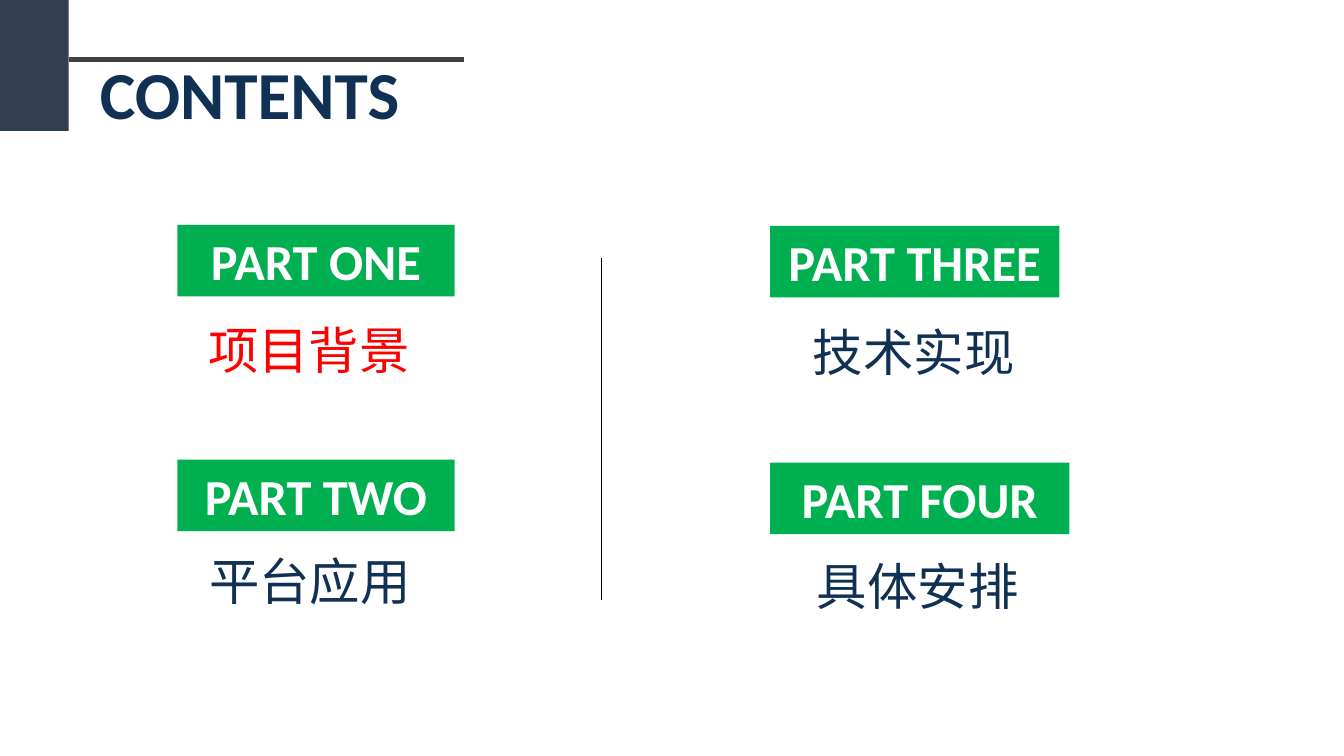
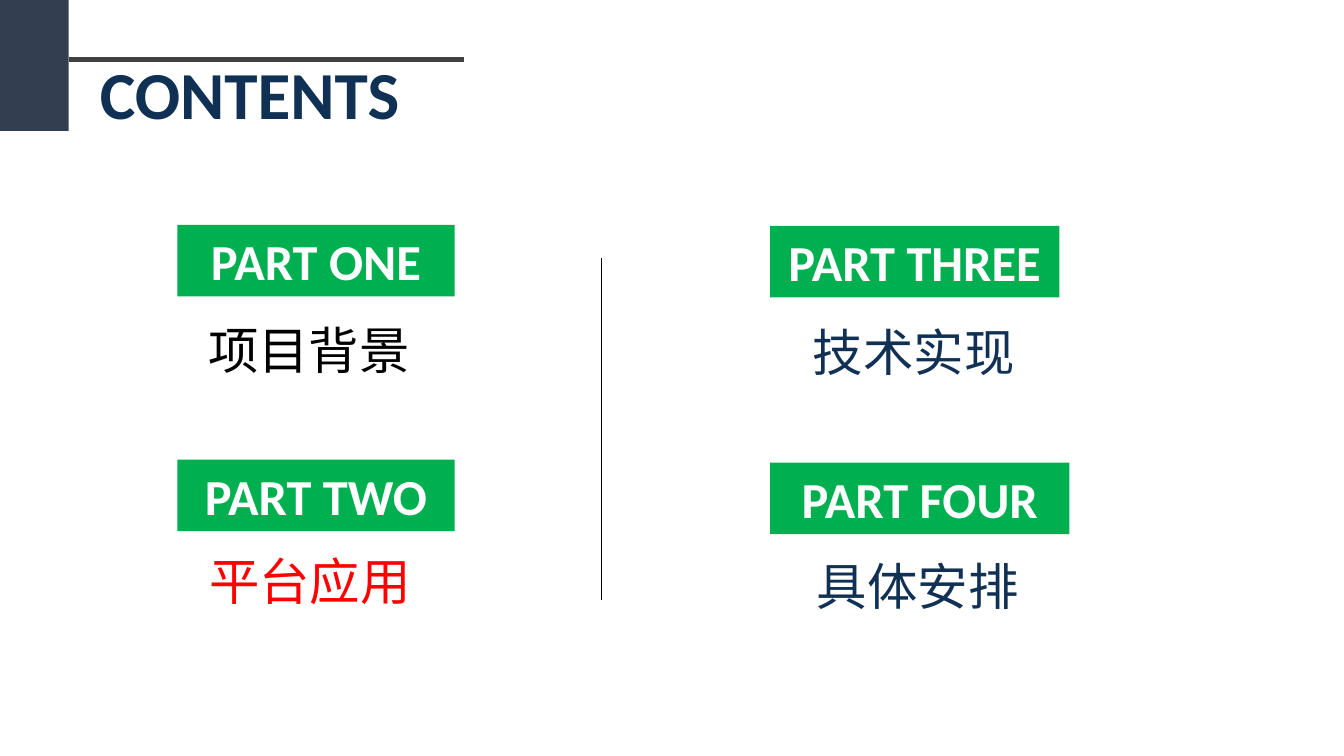
from dataclasses import dataclass

from lxml.etree import SubElement
from pptx import Presentation
from pptx.dml.color import RGBColor
from pptx.enum.shapes import MSO_CONNECTOR, MSO_SHAPE
from pptx.enum.text import MSO_ANCHOR, MSO_AUTO_SIZE, PP_ALIGN
from pptx.oxml.ns import qn
from pptx.util import Pt


@dataclass(frozen=True)
class Theme:
    navy: str = "103154"
    green: str = "00B050"
    slate: str = "333F50"
    grey: str = "404040"
    red: str = "FF0000"
    black: str = "000000"
    white: str = "FFFFFF"
    latin: str = "Calibri"
    chinese: str = "Noto Sans CJK SC"
    title_size: int = 48
    part_size: int = 36


theme = Theme()


def write(box, text, align, color, name, size, bold=False, wrap=True, spacing=1.0):
    """Put one formatted paragraph into a box that fits its text."""
    frame = box.text_frame
    frame.word_wrap = wrap
    frame.auto_size = MSO_AUTO_SIZE.SHAPE_TO_FIT_TEXT
    para = frame.paragraphs[0]
    para.alignment = align
    para.line_spacing = spacing
    span = para.add_run()
    span.text = text
    for key, value in {"name": name, "size": Pt(size), "bold": bold}.items():
        setattr(span.font, key, value)
    span.font.color.rgb = RGBColor.from_string(color)
    SubElement(span.font._element, qn("a:ea")).set("typeface", name)


def add_block(page, place, color):
    """Add a plain filled rectangle without outline or shadow."""
    block = page.shapes.add_shape(MSO_SHAPE.RECTANGLE, *map(Pt, place))
    block.shadow.inherit = False
    block.fill.solid()
    block.fill.fore_color.rgb = RGBColor.from_string(color)
    block.line.fill.background()
    return block


# Agenda: label, its left, top and width; caption, its left, top and width
parts = [
    ("PART ONE", (126.7, 160.6, 198), "项目背景", (118.8, 211.7, 203.8)),
    ("PART TWO", (126.7, 328.3, 198), "平台应用", (118.8, 376.6, 205.2)),
    ("PART THREE", (550.1, 161.3, 206.6), "技术实现", (548.6, 213.1, 208.1)),
    ("PART FOUR", (550.1, 330.5, 213.8), "具体安排", (548.6, 380.2, 213.8)),
]
label_height, caption_height = 51.1, 64

# Rules: begin x, begin y, end x, end y; colour; width
rules = [
    ((429.8, 184.3, 429.8, 428.4), theme.black, 1),
    ((49, 42.5, 331.2, 42.5), theme.grey, 3),
]

deck = Presentation()
deck.slide_width, deck.slide_height = Pt(960), Pt(540)
title_only = deck.slide_layouts[5]

# One contents page for each of the first two parts
for current in range(2):
    page = deck.slides.add_slide(title_only)

    # Title
    title = page.shapes.title
    title_place = {"left": 64.1, "top": 33.8, "width": 231.1, "height": 65.5}
    for key, value in title_place.items():
        setattr(title, key, Pt(value))
    title.text_frame.vertical_anchor = MSO_ANCHOR.TOP
    write(title, "CONTENTS", PP_ALIGN.LEFT, theme.navy, theme.latin,
          theme.title_size, bold=True, wrap=False)

    # Parts: finished ones black, the current one red, later ones navy
    for index, (label, label_place, caption, caption_place) in enumerate(parts):
        block = add_block(page, (*label_place, label_height), theme.green)
        write(block, label, PP_ALIGN.CENTER, theme.white, theme.latin,
              theme.part_size, bold=True)
        if index < current:
            color = theme.black
        elif index == current:
            color = theme.red
        else:
            color = theme.navy
        box = page.shapes.add_textbox(*map(Pt, (*caption_place, caption_height)))
        write(box, caption, PP_ALIGN.CENTER, color, theme.chinese,
              theme.part_size, spacing=1.3)

    # Corner block, column divider and title rule
    add_block(page, (0, 0, 49, 93.6), theme.slate)
    for ends, color, width in rules:
        rule = page.shapes.add_connector(MSO_CONNECTOR.STRAIGHT, *map(Pt, ends))
        rule.line.color.rgb = RGBColor.from_string(color)
        rule.line.width = Pt(width)
        SubElement(rule._element.spPr, qn("a:effectLst"))

deck.save("out.pptx")
